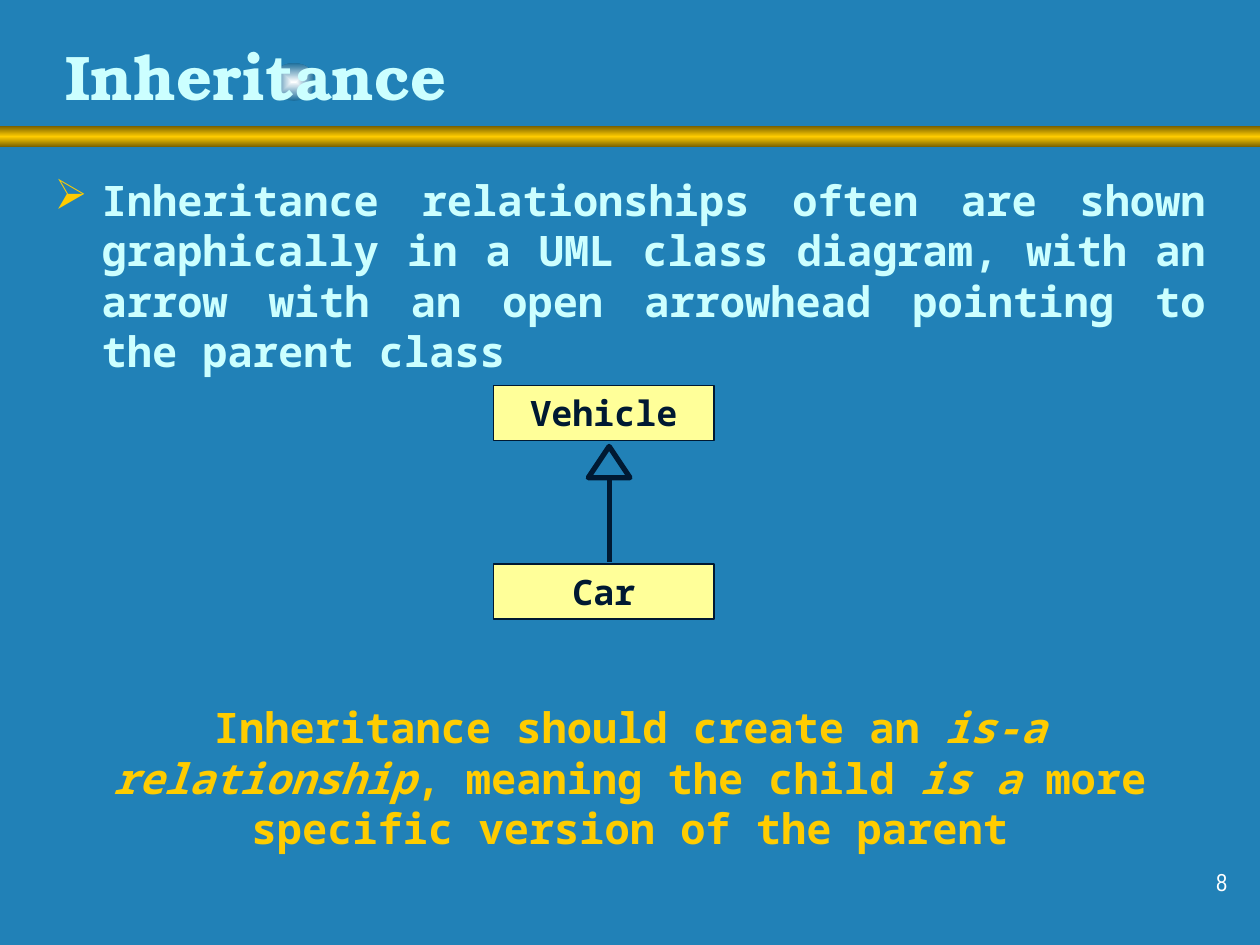
from lxml.etree import SubElement
from pptx import Presentation
from pptx.dml.color import RGBColor
from pptx.enum.shapes import MSO_CONNECTOR, MSO_SHAPE
from pptx.enum.text import MSO_ANCHOR, PP_ALIGN
from pptx.oxml.ns import qn
from pptx.util import Cm, Pt

BLUE = RGBColor(0x21, 0x81, 0xB7)
GLOW = RGBColor(0xFE, 0xFF, 0xFF)
DEEP = RGBColor(0x1C, 0x6D, 0x9A)
GOLD = RGBColor(0xFF, 0xCC, 0x00)
BRONZE = RGBColor(0x76, 0x5E, 0x00)
ICE = RGBColor(0xCC, 0xFF, 0xFF)
WHITE = RGBColor(0xFF, 0xFF, 0xFF)
NAVY = RGBColor(0x00, 0x19, 0x32)
CREAM = RGBColor(0xFF, 0xFF, 0x99)
MONO = "Noto Sans Mono"


def add_run(p, text, size, color, font=MONO, bold=True, italic=False):
    """Add one formatted run to a paragraph."""
    r = p.add_run()
    r.text = text
    r.font.name, r.font.size = font, Pt(size)
    r.font.bold, r.font.italic = bold, italic
    r.font.color.rgb = color


def add_textbox(s, left, top, width, height, align):
    """Add a wrapping text box and return its first paragraph."""
    tf = s.shapes.add_textbox(Cm(left), Cm(top), Cm(width), Cm(height)).text_frame
    tf.word_wrap = True
    p = tf.paragraphs[0]
    p.alignment = align
    return p


def add_bullet(p, char, color, indent):
    """Give a paragraph a coloured bullet with a hanging indent."""
    pPr = p._p.get_or_add_pPr()
    pPr.set("marL", str(indent))
    pPr.set("indent", str(-indent))
    clr = SubElement(pPr, qn("a:buClr"))
    SubElement(clr, qn("a:srgbClr"), val=str(color))
    SubElement(pPr, qn("a:buChar"), char=char)


def add_shape(s, kind, left, top, width, height, fill=None, line=None, weight=1):
    """Add a preset shape without shadow."""
    sp = s.shapes.add_shape(kind, Cm(left), Cm(top), Cm(width), Cm(height))
    sp.shadow.inherit = False
    if fill is None:
        sp.fill.background()
    else:
        sp.fill.solid()
        sp.fill.fore_color.rgb = fill
    if line is None:
        sp.line.fill.background()
    else:
        sp.line.color.rgb = line
        sp.line.width = Pt(weight)
    return sp


def set_gradient(sp, colors, from_center=False):
    """Fill a shape with evenly spaced stops, downwards or from its center."""
    sp.fill.gradient()
    grad = sp._element.spPr.find(qn("a:gradFill"))
    for child in list(grad):
        grad.remove(child)
    stops = SubElement(grad, qn("a:gsLst"))
    for i, color in enumerate(colors):
        gs = SubElement(stops, qn("a:gs"), pos=str(100000 * i // (len(colors) - 1)))
        SubElement(gs, qn("a:srgbClr"), val=str(color))
    if from_center:
        rect = SubElement(grad, qn("a:path"), path="rect")
        SubElement(rect, qn("a:fillToRect"), l="50000", t="50000", r="50000", b="50000")
    else:
        SubElement(grad, qn("a:lin"), ang="5400000", scaled="0")


def add_title(s, text):
    """Place the title placeholder above the decoration and fill it."""
    sp = s.shapes.title
    s.shapes._spTree.append(sp._element)
    sp.left, sp.top, sp.width, sp.height = Cm(1.06), Cm(0.56), Cm(21.72), Cm(1.9)
    tf = sp.text_frame
    tf.vertical_anchor = MSO_ANCHOR.MIDDLE
    p = tf.paragraphs[0]
    p.alignment = PP_ALIGN.LEFT
    add_run(p, text, 36, ICE, "TeX Gyre Bonum")


def add_class_box(s, name, top):
    """Add a UML class box."""
    sp = add_shape(s, MSO_SHAPE.RECTANGLE, 9.95, top, 4.45, 1.11, CREAM, NAVY)
    tf = sp.text_frame
    tf.vertical_anchor = MSO_ANCHOR.MIDDLE
    p = tf.paragraphs[0]
    p.alignment = PP_ALIGN.CENTER
    add_run(p, name, 20, NAVY)


def add_inheritance_arrow(s, x, bottom, neck, top):
    """Add an upward line that ends in an open triangle."""
    line = s.shapes.add_connector(MSO_CONNECTOR.STRAIGHT, Cm(x), Cm(bottom), Cm(x), Cm(neck))
    line.line.color.rgb = NAVY
    line.line.width = Pt(3)
    SubElement(line._element.spPr, qn("a:effectLst"))
    add_shape(s, MSO_SHAPE.ISOSCELES_TRIANGLE, x - 0.42, top, 0.84, neck - top,
              line=NAVY, weight=3)


def main():
    """Build the inheritance slide."""
    prs = Presentation()
    prs.slide_width, prs.slide_height = Cm(25.4), Cm(19.05)
    s = prs.slides.add_slide(prs.slide_layouts[5])
    s.background.fill.solid()
    s.background.fill.fore_color.rgb = BLUE

    glow = add_shape(s, MSO_SHAPE.OVAL, 5.5, 1.27, 0.85, 0.76)
    set_gradient(glow, [GLOW, DEEP], from_center=True)
    bar = add_shape(s, MSO_SHAPE.RECTANGLE, 0, 2.54, 25.4, 0.43)
    set_gradient(bar, [BRONZE, GOLD, BRONZE])

    p = add_textbox(s, 19.71, 17.35, 5.28, 1.27, PP_ALIGN.RIGHT)
    add_run(p, "8", 14, WHITE, "Arial Narrow", bold=False)
    add_title(s, "Inheritance")

    p = add_textbox(s, 0.85, 3.39, 23.7, 13.61, PP_ALIGN.JUSTIFY)
    add_bullet(p, "➢", GOLD, Cm(0.95))
    add_run(p, "Inheritance relationships often are shown graphically in a UML class "
               "diagram, with an arrow with an open arrowhead pointing to the parent class",
            24, ICE)

    p = add_textbox(s, 1.69, 14.02, 22.01, 3.3, PP_ALIGN.CENTER)
    for text, italic in [("Inheritance should create an ", False),
                         ("is-a relationship", True),
                         (", meaning the child ", False),
                         ("is a", True),
                         (" more specific version of the parent", False)]:
        add_run(p, text, 24, GOLD, italic=italic)

    add_inheritance_arrow(s, 12.28, 11.32, 9.63, 9)
    add_class_box(s, "Vehicle", 7.77)
    add_class_box(s, "Car", 11.37)
    prs.save("out.pptx")


if __name__ == "__main__":
    main()
